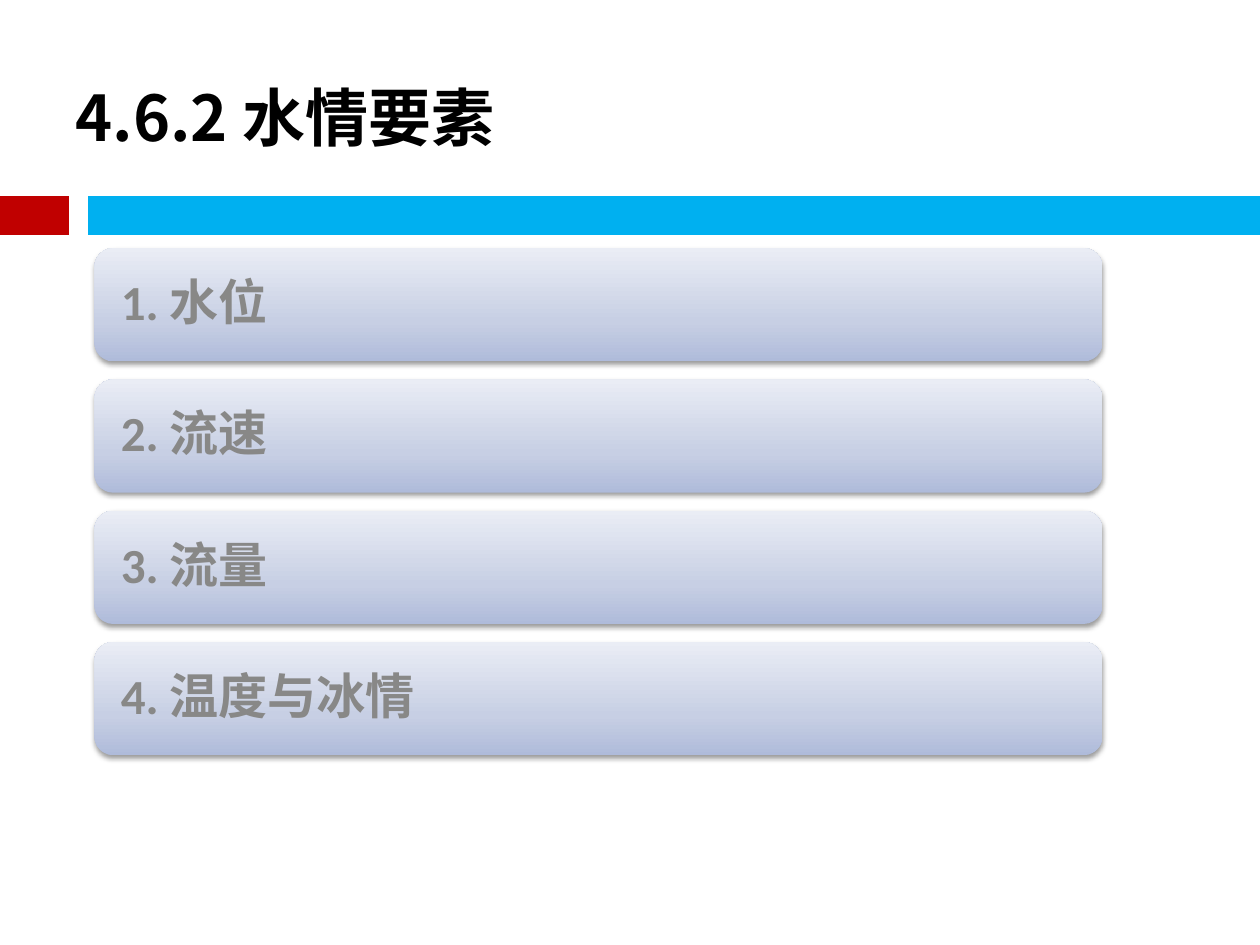
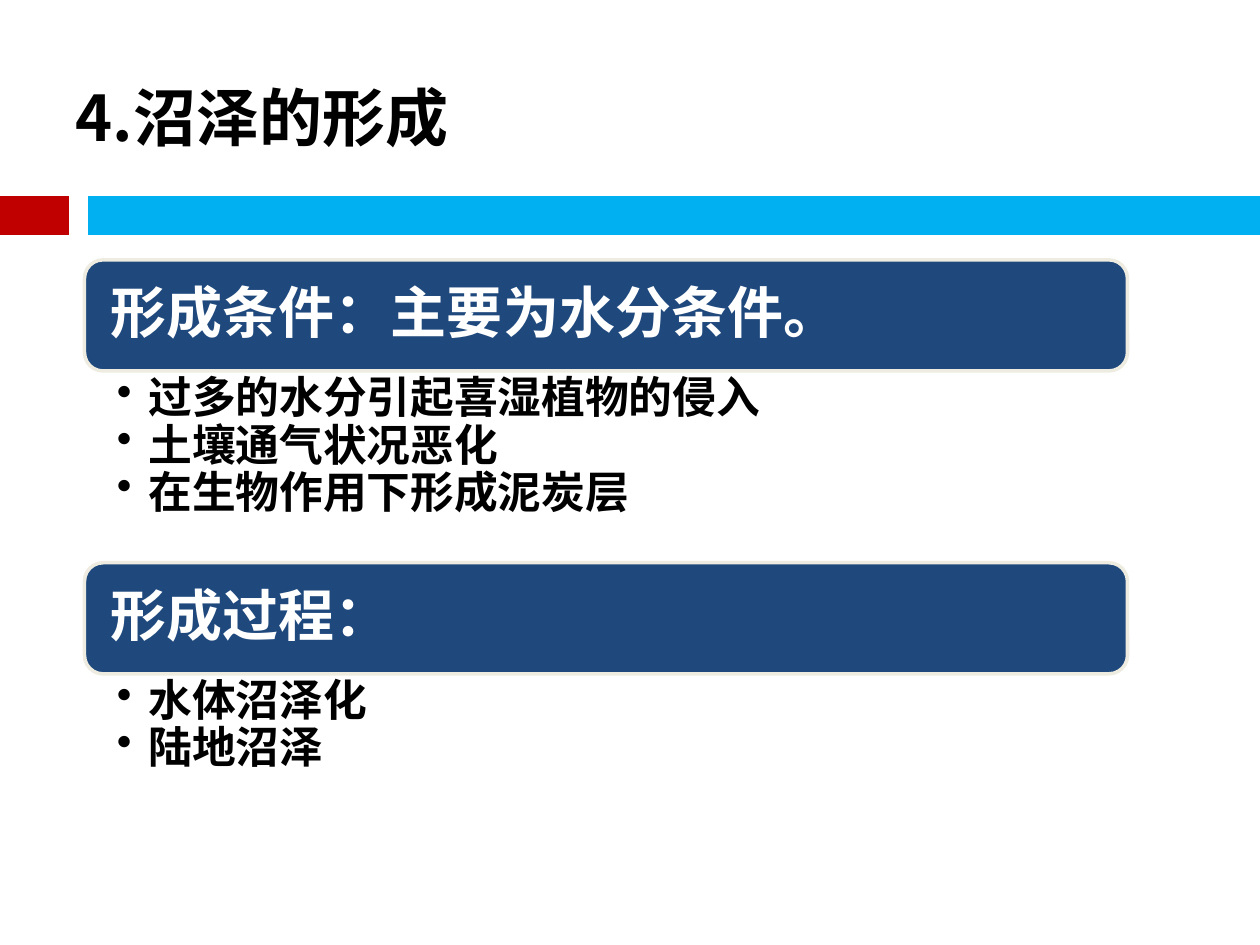
from dataclasses import dataclass

from lxml import etree
from pptx import Presentation
from pptx.dml.color import RGBColor
from pptx.enum import shapes, text
from pptx.oxml import parse_xml
from pptx.oxml.ns import qn
from pptx.util import Pt

NAMESPACE = 'xmlns:a="http://schemas.openxmlformats.org/drawingml/2006/main"'


@dataclass(frozen=True)
class Theme:
    """Colours, fonts and type sizes shared by the slides."""
    black: str = "000000"
    white: str = "FFFFFF"
    grey: str = "888887"
    red: str = "C00000"
    blue: str = "00B0F0"
    navy: str = "1F497D"
    cream: str = "EEECE1"
    gradient: tuple = ((0, "AFBBDA"), (35, "C7CFE4"), (100, "EAEDF5"))
    latin: str = "Calibri"
    chinese: str = "Noto Sans CJK SC"
    title_size: int = 36
    heading_size: int = 32
    item_size: int = 28
    bullet_size: int = 25
    band_width: int = 22


THEME = Theme()


def apply(target, values):
    """Set each named attribute of the target."""
    for name, value in values.items():
        setattr(target, name, value)


def write(para, words, size, colour, font=THEME.latin):
    """Add one bold span to a paragraph."""
    span = para.add_run()
    span.text = words
    apply(span.font, {"name": font, "size": Pt(size), "bold": True})
    span.font.color.rgb = RGBColor.from_string(colour)
    east = etree.SubElement(span.font._element, qn("a:ea"))
    east.set("typeface", THEME.chinese)


def set_frame(frame, anchor, left, top):
    """Set wrapping, anchor and symmetric insets of a text frame."""
    apply(frame, {
        "word_wrap": True, "vertical_anchor": anchor,
        "margin_left": Pt(left), "margin_right": Pt(left),
        "margin_top": Pt(top), "margin_bottom": Pt(top)})


def add_band(page, start, end, colour):
    """Draw a thick horizontal line under the title."""
    height = Pt(123.25)
    band = page.shapes.add_connector(
        shapes.MSO_CONNECTOR.STRAIGHT, Pt(start), height, Pt(end), height)
    band.line.width = Pt(THEME.band_width)
    band.line.color.rgb = RGBColor.from_string(colour)
    etree.SubElement(band._element.spPr, qn("a:effectLst"))


def add_page(deck, words):
    """Add a slide with its title and the two bands."""
    page = deck.slides.add_slide(deck.slide_layouts[5])
    add_band(page, 0, 39.5, THEME.red)
    add_band(page, 50.5, 720, THEME.blue)
    title = page.shapes.title
    apply(title, {"left": Pt(36), "top": Pt(21.6),
                  "width": Pt(648), "height": Pt(90)})
    set_frame(title.text_frame, text.MSO_ANCHOR.MIDDLE, 7.2, 3.6)
    para = title.text_frame.paragraphs[0]
    para.alignment = text.PP_ALIGN.LEFT
    write(para, words, THEME.title_size, THEME.black, THEME.chinese)
    return page


def add_panel(page, box, words, size, colour):
    """Add a rounded panel with one left-aligned line of text."""
    panel = page.shapes.add_shape(
        shapes.MSO_SHAPE.ROUNDED_RECTANGLE, *map(Pt, box))
    panel.shadow.inherit = False
    set_frame(panel.text_frame, text.MSO_ANCHOR.MIDDLE, 12, 8)
    para = panel.text_frame.paragraphs[0]
    apply(para, {"alignment": text.PP_ALIGN.LEFT, "line_spacing": 0.9})
    write(para, words, size, colour)
    return panel


def add_glow(panel):
    """Give a panel its vertical gradient and soft shadow."""
    stops = "".join(
        f'<a:gs pos="{place * 1000}"><a:srgbClr val="{colour}"/></a:gs>'
        for place, colour in THEME.gradient)
    panel.line.fill.background()
    effects = panel._element.spPr.find(qn("a:effectLst"))
    panel._element.spPr.find(qn("a:ln")).addprevious(parse_xml(
        f'<a:gradFill {NAMESPACE} rotWithShape="1"><a:gsLst>{stops}</a:gsLst>'
        '<a:lin ang="16200000" scaled="0"/></a:gradFill>'))
    effects.append(parse_xml(
        f'<a:outerShdw {NAMESPACE} blurRad="{Pt(3.1)}" dist="{Pt(1.6)}" '
        'dir="5400000" rotWithShape="0"><a:srgbClr val="000000">'
        '<a:alpha val="38000"/></a:srgbClr></a:outerShdw>'))


def add_bullets(page, box, items):
    """Add a bulleted list in the given box."""
    frame = page.shapes.add_textbox(*map(Pt, box)).text_frame
    set_frame(frame, text.MSO_ANCHOR.TOP, 18.5, 2.9)
    for index, item in enumerate(items):
        para = frame.add_paragraph() if index else frame.paragraphs[0]
        para.line_spacing = 0.9
        props = para._p.get_or_add_pPr()
        props.set("marL", str(Pt(18)))
        props.set("indent", str(-Pt(18)))
        etree.SubElement(props, qn("a:buChar")).set("char", "•")
        write(para, item, THEME.bullet_size, THEME.black)


def build_elements(page, box, names):
    """Stack numbered panels evenly down the box."""
    left, top, width, height = box
    gap = 10.2
    panel_height = (height - gap * (len(names) - 1)) / len(names)
    for index, name in enumerate(names):
        place = top + index * (panel_height + gap)
        panel = add_panel(page, (left, place, width, panel_height),
                          f"{index + 1}. {name}", THEME.item_size, THEME.grey)
        add_glow(panel)


def build_sections(page, box, sections):
    """Stack headings, each followed by its bulleted list."""
    left, top, width, heading_height = box
    for heading, list_height, items in sections:
        panel = add_panel(page, (left, top, width, heading_height),
                          heading, THEME.heading_size, THEME.white)
        panel.fill.solid()
        panel.fill.fore_color.rgb = RGBColor.from_string(THEME.navy)
        panel.line.color.rgb = RGBColor.from_string(THEME.cream)
        panel.line.width = Pt(2)
        top += heading_height
        add_bullets(page, (left, top, width, list_height), items)
        top += list_height


def main():
    """Build both slides and save the deck."""
    deck = Presentation()
    apply(deck, {"slide_width": Pt(720), "slide_height": Pt(540)})
    build_elements(add_page(deck, "4.6.2 水情要素"), (54, 141.8, 576, 289.8),
                   ["水位", "流速", "流量", "温度与冰情"])
    build_sections(add_page(deck, "4.沼泽的形成"), (48.3, 148.5, 596, 63.5), [
        ("形成条件：主要为水分条件。", 109.6,
         ["过多的水分引起喜湿植物的侵入", "土壤通气状况恶化",
          "在生物作用下形成泥炭层"]),
        ("形成过程：", 72, ["水体沼泽化", "陆地沼泽"])])
    deck.save("out.pptx")


if __name__ == "__main__":
    main()
